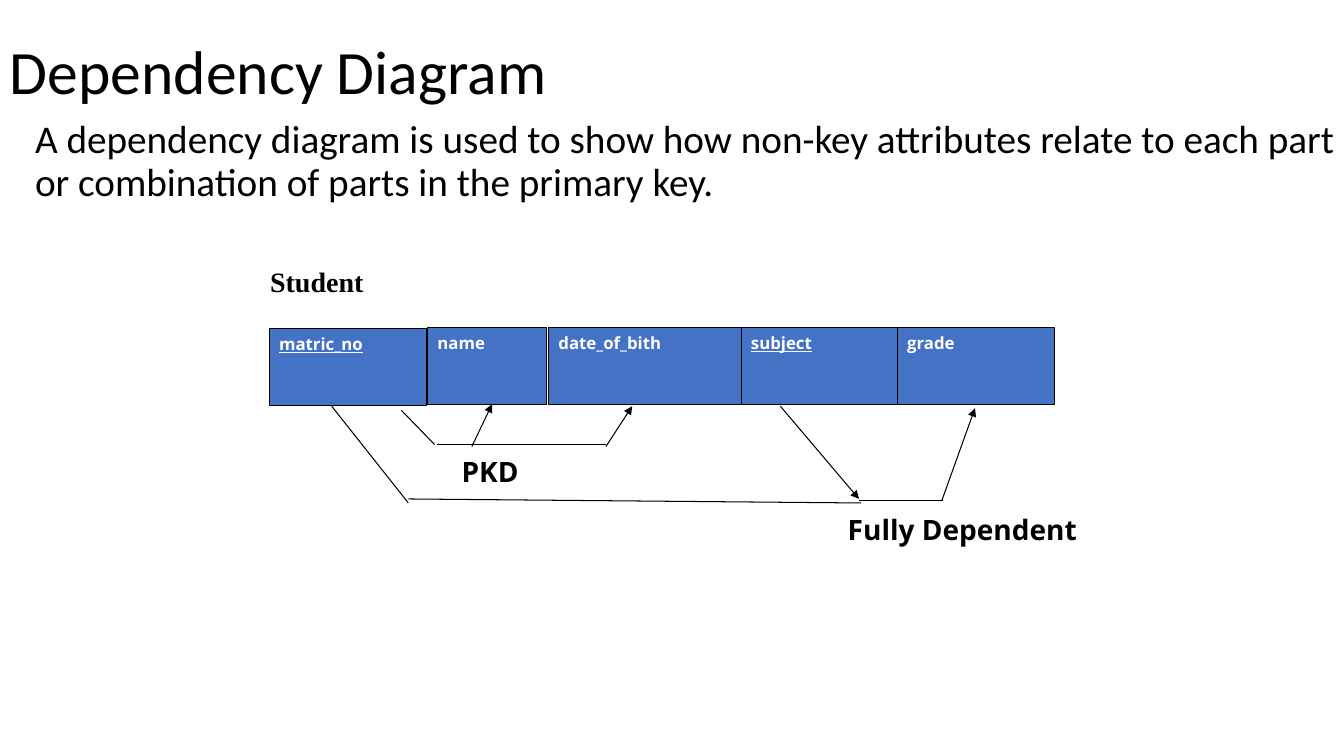
from pptx import Presentation
from pptx.dml.color import RGBColor
from pptx.enum.shapes import MSO_CONNECTOR, MSO_SHAPE
from pptx.enum.text import MSO_ANCHOR, PP_ALIGN
from pptx.oxml.ns import qn
from pptx.util import Inches, Pt
from lxml import etree

STRAIGHT = MSO_CONNECTOR.STRAIGHT
RECTANGLE = MSO_SHAPE.RECTANGLE
TOP, MIDDLE = MSO_ANCHOR.TOP, MSO_ANCHOR.MIDDLE
LEFT = PP_ALIGN.LEFT
COLORS = {"ink": "000000", "cell": "4472C4", "cell_text": "FFFFFF"}


def color(name):
    return RGBColor.from_string(COLORS[name])


def write(box, text, size, font, ink="ink", bold=False, underline=False, anchor=TOP):
    frame = box.text_frame
    frame.word_wrap = True
    frame.vertical_anchor = anchor
    para = frame.paragraphs[0]
    para.alignment = LEFT
    span = para.add_run()
    span.text = text
    span.font.size = Pt(size)
    span.font.name = font
    span.font.bold = bold
    span.font.underline = underline
    span.font.color.rgb = color(ink)
    return para


deck = Presentation()
deck.slide_width = Inches(13.33)
deck.slide_height = Inches(7.5)
page = deck.slides.add_slide(deck.slide_layouts[6])

title = page.shapes.add_textbox(Inches(0), Inches(0.01), Inches(11.5), Inches(1.45))
para = write(title, "Dependency Diagram", 44, "Calibri", anchor=MIDDLE)
para.line_spacing = 0.9

body = page.shapes.add_textbox(Inches(0), Inches(1.14), Inches(13.33), Inches(6.35))
para = write(
    body,
    "A dependency diagram is used to show how non-key attributes relate to each part "
    "or combination of parts in the primary key.",
    28,
    "Calibri",
)
para.line_spacing = 0.9
para.space_before = Pt(10)
para._p.get_or_add_pPr().set("marL", str(Inches(0.25)))

attributes = [
    ("matric_no", 2.67, 3.26, 1.56, True),
    ("name", 4.24, 3.25, 1.18, False),
    ("date_of_bith", 5.44, 3.25, 1.91, False),
    ("subject", 7.35, 3.25, 1.56, True),
    ("grade", 8.9, 3.25, 1.56, False),
]
for name, left, top, width, is_key in attributes:
    box = page.shapes.add_shape(
        RECTANGLE, Inches(left), Inches(top), Inches(width), Inches(0.76)
    )
    box.shadow.inherit = False
    box.fill.solid()
    box.fill.fore_color.rgb = color("cell")
    box.line.color.rgb = color("ink")
    box.line.width = Pt(0.75)
    write(box, name, 12, "Open Sans", "cell_text", bold=True, underline=is_key)

dependency_lines = [
    (7.74, 4.03, 8.52, 4.95, True),
    (8.52, 4.97, 9.35, 4.97, False),
    (3.29, 4.03, 4.05, 4.99, False),
    (4.05, 4.95, 8.54, 4.99, False),
    (3.98, 4.07, 4.31, 4.41, False),
    (4.33, 4.41, 6.01, 4.41, False),
    (4.68, 4.43, 4.88, 4.01, True),
    (6.01, 4.43, 6.27, 4.03, True),
    (9.34, 4.97, 9.67, 4.05, True),
]
for *ends, has_arrow in dependency_lines:
    link = page.shapes.add_connector(STRAIGHT, *[Inches(end) for end in ends])
    link.line.color.rgb = color("ink")
    link.line.width = Pt(0.75)
    if has_arrow:
        etree.SubElement(link.line._get_or_add_ln(), qn("a:tailEnd"), type="triangle")
    etree.SubElement(link._element.spPr, qn("a:effectLst"))

labels = [
    ("Student", 2.58, 2.58, 1.63, "Times New Roman"),
    ("Fully Dependent", 8.31, 5.04, 2.77, "Open Sans"),
    ("PKD", 4.48, 4.46, 1.63, "Open Sans"),
]
for text, left, top, width, font in labels:
    label = page.shapes.add_textbox(
        Inches(left), Inches(top), Inches(width), Inches(0.66)
    )
    write(label, text, 20, font, bold=True)

deck.save("out.pptx")
